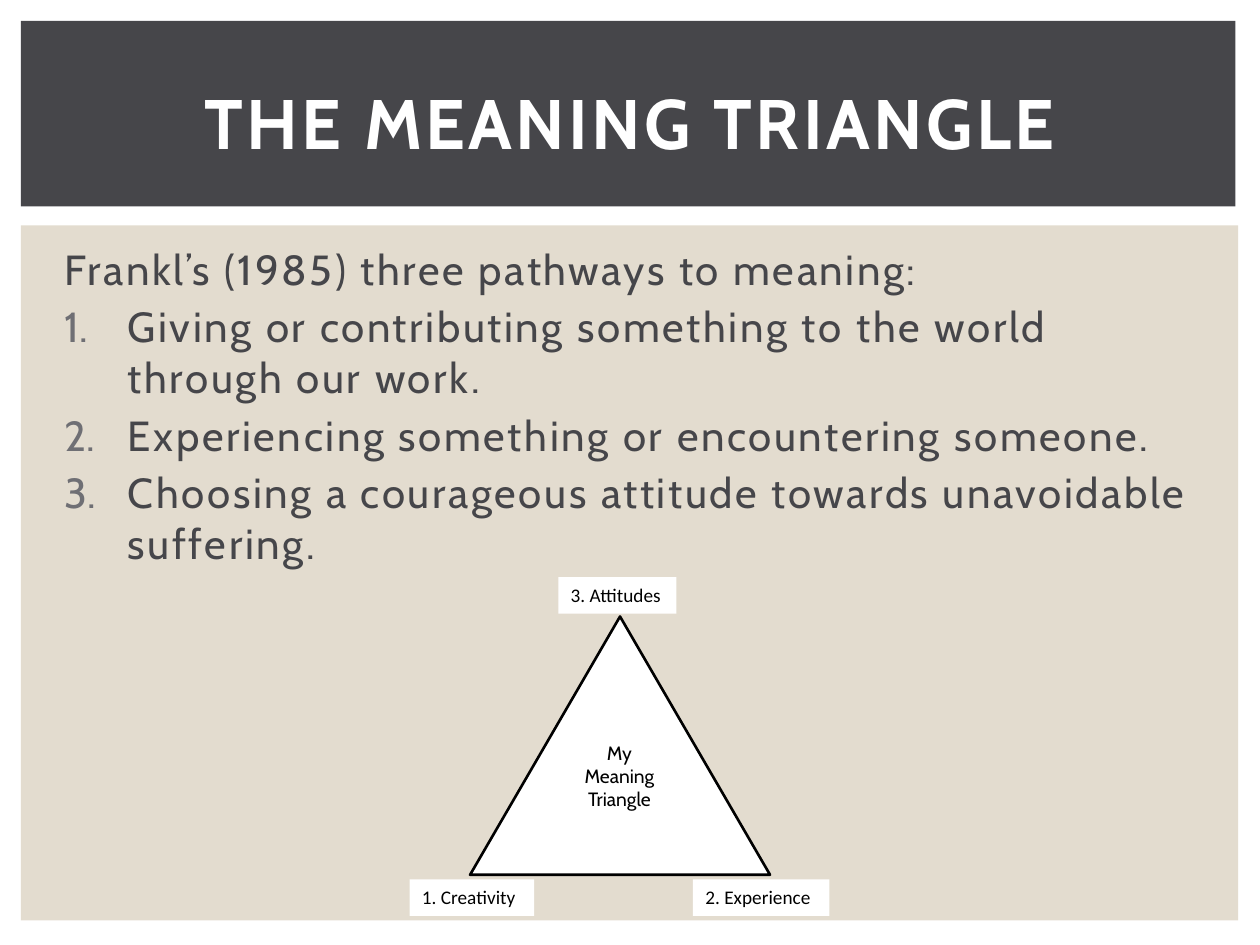
import pptx
import pptx.util
import pptx.dml.color
import pptx.enum.shapes
import pptx.enum.text
import pptx.oxml
import pptx.oxml.ns
from lxml import etree

Pt = pptx.util.Pt
Shape = pptx.enum.shapes.MSO_SHAPE
Anchor = pptx.enum.text.MSO_ANCHOR
Align = pptx.enum.text.PP_ALIGN

COLORS = {
    "band": "46464A",
    "panel": "E3DCCF",
    "white": "FFFFFF",
    "black": "000000",
    "number": "6F6F74",
}
PATHWAYS = [
    "Giving or contributing something to the world through our work.",
    "Experiencing something or encountering someone.",
    "Choosing a courageous attitude towards unavoidable suffering.",
]


def rgb(name):
    return pptx.dml.color.RGBColor.from_string(COLORS[name])


def add_box(slide, box, fill, kind=Shape.RECTANGLE, line=None):
    shape = slide.shapes.add_shape(kind, *map(Pt, box))
    shape.shadow.inherit = False
    shape.fill.solid()
    shape.fill.fore_color.rgb = rgb(fill)
    if line:
        shape.line.color.rgb = rgb(line)
        shape.line.width = Pt(1.5)
    else:
        shape.line.fill.background()
    return shape


def add_text_box(slide, box):
    text_frame = slide.shapes.add_textbox(*map(Pt, box)).text_frame
    text_frame.word_wrap = True
    return text_frame


def style_paragraph(paragraph, font_name, size, color, bold=False, spacing=0):
    for run in paragraph.runs:
        run.font.name = font_name
        run.font.size = Pt(size)
        run.font.bold = bold
        run.font.color.rgb = rgb(color)
        if spacing:
            run._r.get_or_add_rPr().set("spc", str(int(spacing * 100)))


def number_paragraph(paragraph, indent):
    properties = paragraph._p.get_or_add_pPr()
    properties.set("marL", str(Pt(indent)))
    properties.set("indent", str(-Pt(indent)))
    qn = pptx.oxml.ns.qn
    bullet_color = etree.SubElement(properties, qn("a:buClr"))
    etree.SubElement(bullet_color, qn("a:srgbClr"), val=COLORS["number"])
    etree.SubElement(properties, qn("a:buFont"), typeface="+mj-lt")
    etree.SubElement(properties, qn("a:buAutoNum"), type="arabicPeriod")


def add_title(slide, box):
    left, top, width, height = box
    add_box(slide, box, "band")
    text_frame = add_text_box(slide, (left + 18, top + 16, width - 34, 83))
    text_frame.vertical_anchor = Anchor.MIDDLE
    text_frame.text = "THE MEANING TRIANGLE"
    paragraph = text_frame.paragraphs[0]
    paragraph.alignment = Align.CENTER
    style_paragraph(paragraph, "Cabin", 40, "white", bold=True, spacing=2)


def add_pathways(slide, box):
    text_frame = add_text_box(slide, box)
    text_frame.text = "\n".join(["Frankl’s (1985) three pathways to meaning:"] + PATHWAYS)
    for index, paragraph in enumerate(text_frame.paragraphs):
        if index:
            paragraph.space_before = Pt(4.2)
            number_paragraph(paragraph, 36)
        style_paragraph(paragraph, "Cabin", 24, "band", spacing=1.5)


def add_label(slide, box, text, font_name, alignment, wrap=True):
    text_frame = add_box(slide, box, "white").text_frame
    text_frame.word_wrap = wrap
    text_frame.vertical_anchor = Anchor.TOP
    text_frame.text = text
    for paragraph in text_frame.paragraphs:
        paragraph.alignment = alignment
        style_paragraph(paragraph, font_name, 11, "black")


def add_meaning_triangle(slide, box):
    left, top, width, height = box
    label_height = 20.9

    # Triangle and its centre text
    triangle_box = (left + 34.6, top + 22.5, 171.4, 147.6)
    add_box(slide, triangle_box, "white", Shape.ISOSCELES_TRIANGLE, "black")
    add_label(slide, (left + 93, top + 90, 54, 72), "My\nMeaning\nTriangle",
              "Cabin", Align.CENTER, wrap=False)

    # Corner labels: text, offset, width
    bottom = height - label_height
    corners = [
        ("3. Attitudes", 85, 0, 67.5),
        ("1. Creativity", 0, bottom, 71.3),
        ("2. Experience", width - 78, bottom, 78),
    ]
    for text, x, y, label_width in corners:
        add_label(slide, (left + x, top + y, label_width, label_height),
                  text, "Calibri", Align.LEFT)


def main():
    presentation = pptx.Presentation()
    presentation.slide_width = Pt(720)
    presentation.slide_height = Pt(540)
    slide = presentation.slides.add_slide(presentation.slide_layouts[6])

    add_box(slide, (12, 128.8, 695.5, 397.2), "panel")
    add_title(slide, (12, 12, 694, 106))
    add_pathways(slide, (30, 135.4, 662, 347))
    add_meaning_triangle(slide, (234, 329.8, 240, 193.6))

    presentation.save("out.pptx")


if __name__ == "__main__":
    main()
